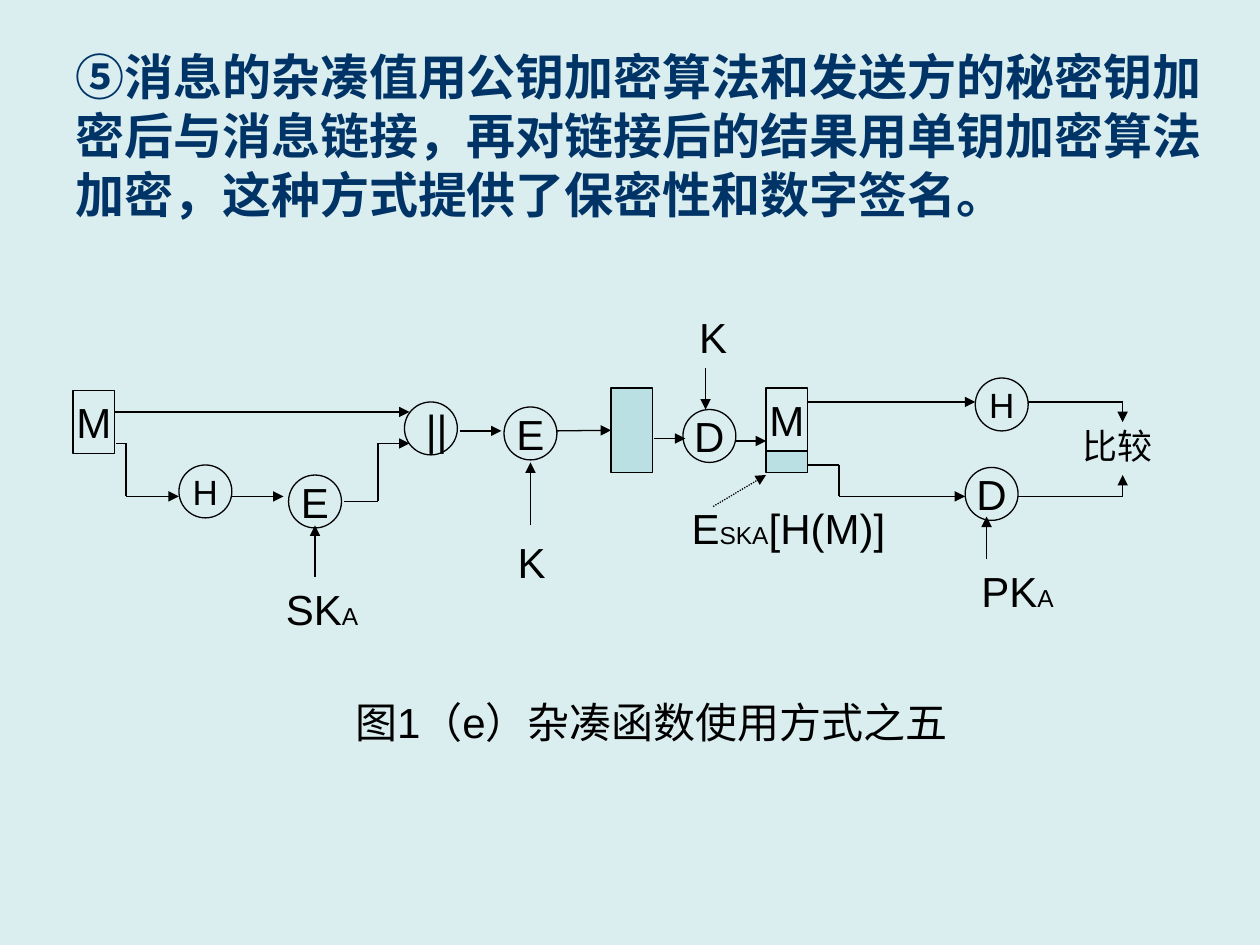
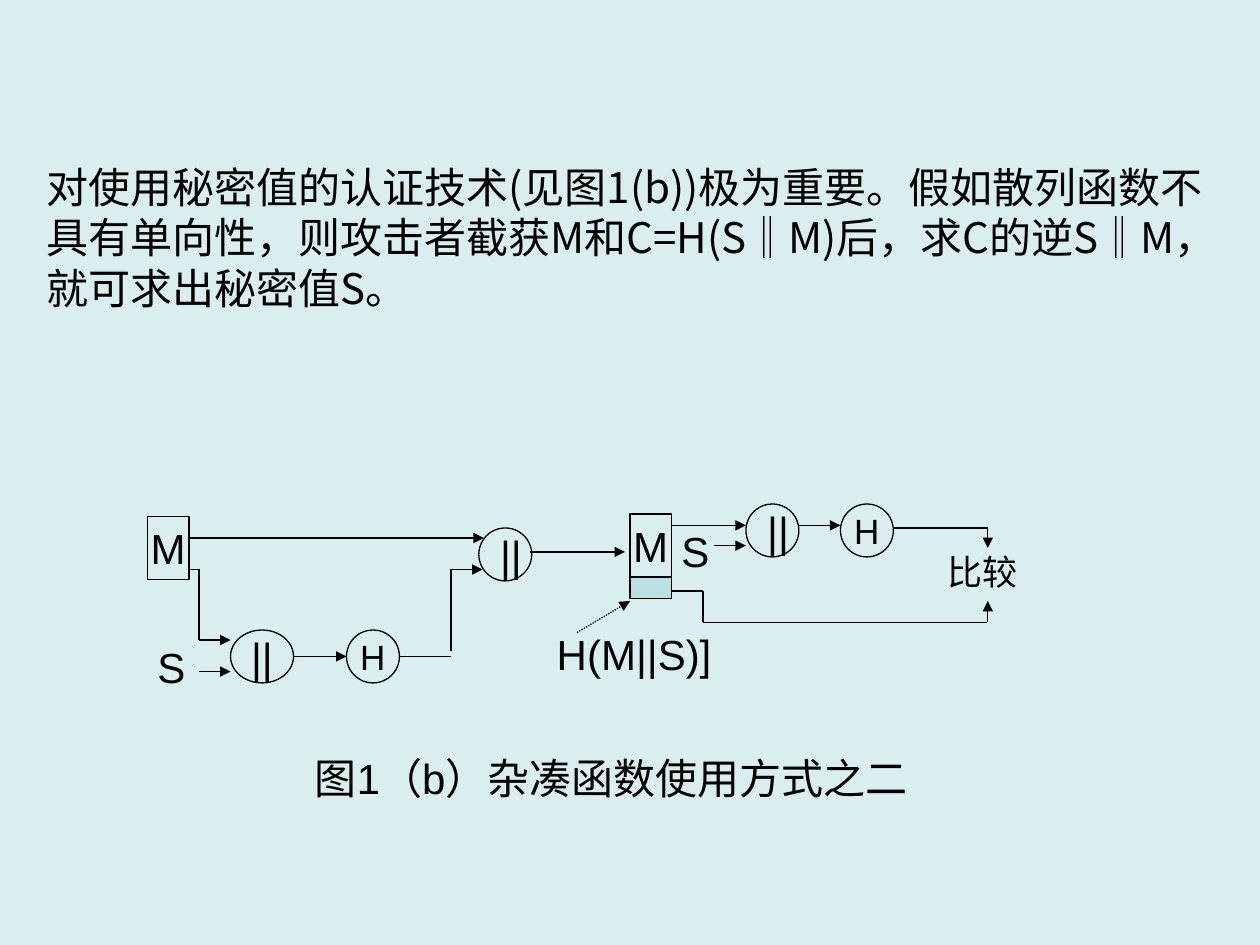
from dataclasses import dataclass
from typing import Optional, Union

import pptx
import pptx.dml.color
import pptx.enum.dml
import pptx.enum.shapes
import pptx.enum.text
import pptx.oxml
import pptx.oxml.ns
import pptx.util

PX = 9144  # EMU per px, 100 px to the inch
COLORS = {"background": "DAEDEF", "title": "003366", "ink": "000000", "cipher": "BBE0E3"}
RECTANGLE = pptx.enum.shapes.MSO_SHAPE.RECTANGLE
CIRCLE = pptx.enum.shapes.MSO_SHAPE.OVAL
LEFT_SIDE = 1
Point = tuple[int, int]


@dataclass
class Node:
    text: str
    left: int
    top: int
    kind: int = CIRCLE
    width: int = 42
    height: int = 42
    size: int = 24
    fill: Optional[str] = None


@dataclass
class Label:
    runs: list[tuple[str, int]]
    left: int
    top: int
    width: int
    height: int = 50
    wrap: bool = False


@dataclass
class Route:
    points: list[Point]
    arrow: bool = True
    dotted: bool = False
    target: Optional[Node] = None


Part = Union[Node, Label, Route]


def px(length: int) -> int:
    return pptx.util.Emu(length * PX)


def rgb(name: str) -> pptx.dml.color.RGBColor:
    return pptx.dml.color.RGBColor.from_string(COLORS[name])


def set_font(paragraph, name: str, color: str, size: Optional[int] = None, bold: bool = False) -> None:
    paragraph.font.name = name
    paragraph.font.color.rgb = rgb(color)
    paragraph.font.bold = bold
    if size:
        paragraph.font.size = pptx.util.Pt(size)


# Drawing of the three kinds of part

def draw_node(slide, node: Node):
    shape = slide.shapes.add_shape(node.kind, px(node.left), px(node.top), px(node.width), px(node.height))
    shape.shadow.inherit = False
    shape.line.color.rgb = rgb("ink")
    shape.line.width = pptx.util.Pt(0.75)
    if node.fill:
        shape.fill.solid()
        shape.fill.fore_color.rgb = rgb(node.fill)
    else:
        shape.fill.background()
    if node.text:
        frame = shape.text_frame
        frame.word_wrap = False
        frame.vertical_anchor = pptx.enum.text.MSO_ANCHOR.MIDDLE
        paragraph = frame.paragraphs[0]
        paragraph.text = node.text
        paragraph.alignment = pptx.enum.text.PP_ALIGN.CENTER
        set_font(paragraph, "Arial", "ink", node.size)
    return shape


def draw_label(slide, label: Label) -> None:
    shape = slide.shapes.add_textbox(px(label.left), px(label.top), px(label.width), px(label.height))
    shape.text_frame.word_wrap = label.wrap
    paragraph = shape.text_frame.paragraphs[0]
    mixed = len(label.runs) > 1
    set_font(paragraph, "Arial", "ink", None if mixed else label.runs[0][1])
    for text, size in label.runs:
        run = paragraph.add_run()
        run.text = text
        if mixed:
            run.font.size = pptx.util.Pt(size)


def draw_route(slide, route: Route, target) -> None:
    for start, end in zip(route.points, route.points[1:]):
        connector = slide.shapes.add_connector(
            pptx.enum.shapes.MSO_CONNECTOR.STRAIGHT, *map(px, start + end))
        connector.line.color.rgb = rgb("ink")
        connector.line.width = pptx.util.Pt(0.75)
        if route.dotted:
            connector.line.dash_style = pptx.enum.dml.MSO_LINE.ROUND_DOT
        properties = connector._element.spPr
        properties.append(pptx.oxml.parse_xml(f"<a:effectLst {pptx.oxml.ns.nsdecls('a')}/>"))
        if route.arrow and end == route.points[-1]:
            connector.line._get_or_add_ln().append(
                pptx.oxml.parse_xml(f'<a:tailEnd {pptx.oxml.ns.nsdecls("a")} type="triangle"/>'))
            if target is not None:
                connector.end_connect(target, LEFT_SIDE)


def draw_parts(slide, parts: list[Part]) -> None:
    drawn = {}
    for part in parts:
        if isinstance(part, Node):
            drawn[id(part)] = draw_node(slide, part)
        elif isinstance(part, Label):
            draw_label(slide, part)
        else:
            draw_route(slide, part, drawn.get(id(part.target)))


# Groups found in both diagrams

def sender(left: int, top: int) -> list[Part]:
    """Message M, its arrow to the concatenation, and the arrow back up from the hash branch."""
    return [
        Node("M", left, top, RECTANGLE, 33, 50),
        Route([(left + 33, top + 17), (left + 267, top + 17)]),
        Node(" ||", left + 263, top + 9),
    ]


def received_packet(left: int, top: int) -> list[Part]:
    """Received message with its tag, and the dotted pointer to the tag."""
    return [
        Node("M", left, top, RECTANGLE, 33, 50),
        Node("", left, top + 50, RECTANGLE, 33, 17, fill="cipher"),
        Route([(left - 42, top + 94), (left, top + 69)], dotted=True),
    ]


def comparison(left: int, top: int) -> list[Part]:
    """Receiver's hash, and the two arrows into the comparison."""
    compare_x = left + 117
    return [
        Node("H", left, top, size=20),
        Label([("比较", 20)], left + 75, top + 32, 76, 43),
        Route([(left + 42, top + 19), (compare_x, top + 19), (compare_x, top + 35)]),
        Route([(compare_x, top + 94), (compare_x, top + 77)]),
    ]


def caption(text: str, left: int, top: int) -> Label:
    return Label([(text, 24)], left, top, 493, wrap=True)


# Slides

def add_signature_slide(presentation) -> None:
    slide = presentation.slides.add_slide(presentation.slide_layouts[5])
    title = slide.shapes.title
    title.left, title.top, title.width, title.height = map(px, (50, 32, 919, 151))
    frame = title.text_frame
    frame.text = ("⑤消息的杂凑值用公钥加密算法和发送方的秘密钥加\n"
                  "密后与消息链接，再对链接后的结果用单钥加密算法\n"
                  "加密，这种方式提供了保密性和数字签名。")
    frame.word_wrap = False
    frame.auto_size = pptx.enum.text.MSO_AUTO_SIZE.NONE
    frame.vertical_anchor = pptx.enum.text.MSO_ANCHOR.TOP
    for paragraph in frame.paragraphs:
        paragraph.alignment = pptx.enum.text.PP_ALIGN.LEFT
        set_font(paragraph, "Times New Roman", "title", 28, bold=True)

    ciphertext = Node("", 485, 308, RECTANGLE, 33, 67, fill="cipher")
    draw_parts(slide, [
        # Sender: hash, sign, concatenate
        *sender(58, 310),
        Route([(92, 352), (100, 352), (100, 394), (142, 394)]),
        Node("H", 142, 369, size=20),
        Route([(183, 394), (225, 394)]),
        Node("E", 229, 377),
        Route([(250, 458), (250, 417)]),
        Label([("SK", 24), ("A", 14)], 217, 458, 78),
        Route([(273, 398), (300, 398), (300, 352), (325, 352)]),
        # Encryption and decryption with K
        Route([(365, 342), (398, 342)]),
        Node("E", 400, 323),
        Route([(421, 417), (421, 367)]),
        Label([("K", 24)], 401, 421, 42),
        ciphertext,
        Route([(442, 342), (483, 342)], target=ciphertext),
        Route([(519, 348), (544, 348)]),
        Node("D", 542, 325),
        Label([("K", 24)], 545, 242, 42),
        Route([(560, 292), (560, 325)]),
        Route([(583, 350), (608, 350)]),
        # Receiver: verify the signature
        *received_packet(608, 308),
        Label([("E", 24), ("SKA", 14), ("[H(M)]", 24)], 539, 394, 174),
        Route([(641, 319), (774, 319)]),
        Route([(641, 369), (666, 369), (666, 394), (766, 394)]),
        Node("D", 766, 371),
        Route([(783, 444), (783, 410)]),
        Label([("PK", 24), ("A", 14)], 769, 444, 78),
        Route([(808, 394), (891, 394)], arrow=False),
        *comparison(774, 300),
        caption("图1（e）杂凑函数使用方式之五", 272, 548),
    ])


def add_secret_value_slide(presentation) -> None:
    slide = presentation.slides.add_slide(presentation.slide_layouts[6])
    draw_parts(slide, [
        # Sender: hash of the secret and the message
        *sender(117, 410),
        Route([(150, 452), (158, 452), (158, 508), (183, 508)]),
        Label([("S", 24)], 115, 504, 42),
        Route([(158, 533), (183, 533)]),
        Node("||", 183, 500, width=50),
        Route([(233, 521), (275, 521)]),
        Node("H", 275, 500, size=20),
        Route([(317, 521), (358, 521)], arrow=False),
        Route([(358, 517), (358, 452), (383, 452)]),
        Route([(421, 438), (496, 438)]),
        # Receiver: recompute and compare
        *received_packet(500, 408),
        Label([("H(M||S)]", 24)], 432, 494, 143),
        Route([(533, 417), (592, 417)]),
        Label([("S", 24)], 531, 412, 42),
        Route([(567, 433), (592, 433)]),
        Node(" ||", 592, 400),
        Route([(633, 417), (667, 417)]),
        Route([(533, 469), (558, 469), (558, 494), (783, 494)], arrow=False),
        *comparison(667, 400),
        caption("图1（b）杂凑函数使用方式之二", 240, 592),
    ])

    # Explanation above the diagram
    explanation = slide.shapes.add_textbox(px(0), px(76), px(976), px(276))
    frame = explanation.text_frame
    frame.word_wrap = True
    frame.margin_left, frame.margin_top = px(37), px(52)
    paragraph = frame.paragraphs[0]
    paragraph.text = ("对使用秘密值的认证技术(见图1(b))极为重要。假如散列函数不具有单向性，"
                      "则攻击者截获M和C=H(S‖M)后，求C的逆S‖M，就可求出秘密值S。")
    set_font(paragraph, "Noto Sans CJK SC", "ink", 24)


def main() -> None:
    presentation = pptx.Presentation()
    presentation.slide_width, presentation.slide_height = px(1000), px(750)
    background = presentation.slide_master.background.fill
    background.solid()
    background.fore_color.rgb = rgb("background")
    add_signature_slide(presentation)
    add_secret_value_slide(presentation)
    presentation.save("out.pptx")


if __name__ == "__main__":
    main()
